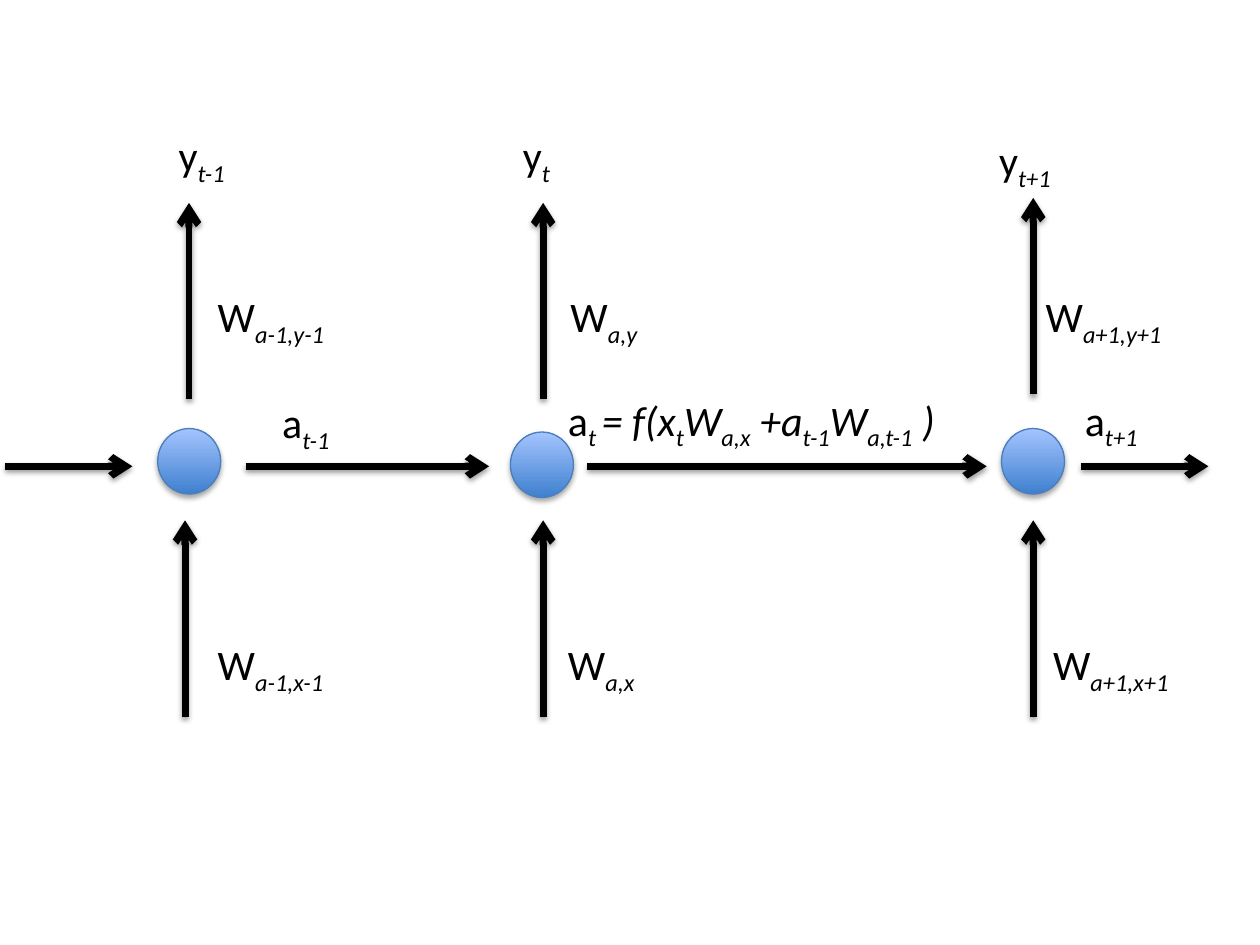
from pptx import Presentation
from pptx.dml.color import RGBColor
from pptx.enum.shapes import MSO_CONNECTOR, MSO_SHAPE
from pptx.enum.text import MSO_AUTO_SIZE
from pptx.oxml import parse_xml
from pptx.oxml.ns import nsdecls
from pptx.util import Cm, Pt

# Content: one dict per time step; all lengths in cm.
# In a label "|" switches between the baseline and the subscript.
STEPS = [
    dict(node=(3.18, 8.64), arrow_in=3.73, arrow_out=(3.81, 8.05),
         labels=[("y|t-1", 3.35, 2.49, 3.18), ("a|t-1", 5.44, 7.87, 3.18),
                 ("W|a-1,y-1", 4.14, 5.74, 4.17), ("W|a-1,x-1", 4.14, 12.75, 4.17)]),
    dict(node=(10.29, 8.71), arrow_in=10.95, arrow_out=(10.95, 8.05),
         labels=[("y|t", 10.29, 2.49, 3.18),
                 ("a|t |= f(x|t|W|a,x| +a|t-1|W|a,t-1| )", 11.2, 7.82, 13.74),
                 ("W|a,y", 11.25, 5.74, 4.17), ("W|a,x", 11.2, 12.75, 4.17)]),
    dict(node=(20.19, 8.64), arrow_in=20.83, arrow_out=(20.83, 7.95),
         labels=[("y|t+1", 19.89, 2.59, 3.18), ("a|t+1", 21.62, 7.82, 3.18),
                 ("W|a+1,y+1", 20.83, 5.74, 4.17), ("W|a+1,x+1", 20.98, 12.75, 4.17)]),
]
FLOW = [(0.1, 2.67), (4.95, 9.86), (11.84, 19.89), (21.79, 24.36)]
FLOW_Y, INPUT_Y, ARROW_LENGTH = 9.4, 14.45, 3.96
NODE_W, NODE_H, LABEL_H = 1.27, 1.32, 1.27


class Theme:
    ink = RGBColor(0x00, 0x00, 0x00)
    node_stops = RGBColor(0x3F, 0x80, 0xCE), RGBColor(0xA4, 0xC4, 0xFF)
    node_line = RGBColor(0x4B, 0x7E, 0xBC)
    font, size = "Calibri", Pt(24)
    node_width, arrow_width = Pt(0.75), Pt(4)


def add_shadow(s, distance, opacity):
    s._element.spPr.append(parse_xml(
        f'<a:effectLst {nsdecls("a")}><a:outerShdw blurRad="{Pt(3.1)}" '
        f'dist="{Pt(distance)}" dir="5400000" rotWithShape="0">'
        f'<a:srgbClr val="{Theme.ink}"><a:alpha val="{opacity * 1000}"/></a:srgbClr>'
        '</a:outerShdw></a:effectLst>'))


def add_node(x, y):
    s = shapes.add_shape(MSO_SHAPE.OVAL, Cm(x), Cm(y), Cm(NODE_W), Cm(NODE_H))
    s.fill.gradient()
    s.fill.gradient_angle = 90
    for stop, color in zip(s.fill.gradient_stops, Theme.node_stops):
        stop.color.rgb = color
    s.line.color.rgb = Theme.node_line
    s.line.width = Theme.node_width
    add_shadow(s, 1.8, 35)


def add_arrow(x1, y1, x2, y2):
    s = shapes.add_connector(MSO_CONNECTOR.STRAIGHT, Cm(x1), Cm(y1), Cm(x2), Cm(y2))
    s.line.color.rgb = Theme.ink
    s.line.width = Theme.arrow_width
    s.line._get_or_add_ln().append(parse_xml(f'<a:tailEnd {nsdecls("a")} type="arrow"/>'))
    add_shadow(s, 1.6, 38)


def add_label(text, x, y, width):
    tf = shapes.add_textbox(Cm(x), Cm(y), Cm(width), Cm(LABEL_H)).text_frame
    tf.word_wrap = True
    tf.auto_size = MSO_AUTO_SIZE.SHAPE_TO_FIT_TEXT
    p = tf.paragraphs[0]
    for i, part in enumerate(text.split("|")):
        r = p.add_run()
        r.text = part
        for name, value in dict(name=Theme.font, size=Theme.size, italic=i > 0).items():
            setattr(r.font, name, value)
        r.font.color.rgb = Theme.ink
        if i % 2:
            r.font._element.set("baseline", "-25000")


prs = Presentation()
prs.slide_width, prs.slide_height = Cm(25.4), Cm(19.05)
shapes = prs.slides.add_slide(prs.slide_layouts[6]).shapes

# Nodes with their input and output arrows
for step in STEPS:
    add_node(*step["node"])
    out_x, out_y = step["arrow_out"]
    for x, y in ((step["arrow_in"], INPUT_Y), (out_x, out_y)):
        add_arrow(x, y, x, y - ARROW_LENGTH)

# Flow from one time step to the next
for start, end in FLOW:
    add_arrow(start, FLOW_Y, end, FLOW_Y)

# Labels on top
for step in STEPS:
    for label in step["labels"]:
        add_label(*label)

prs.save("out.pptx")
